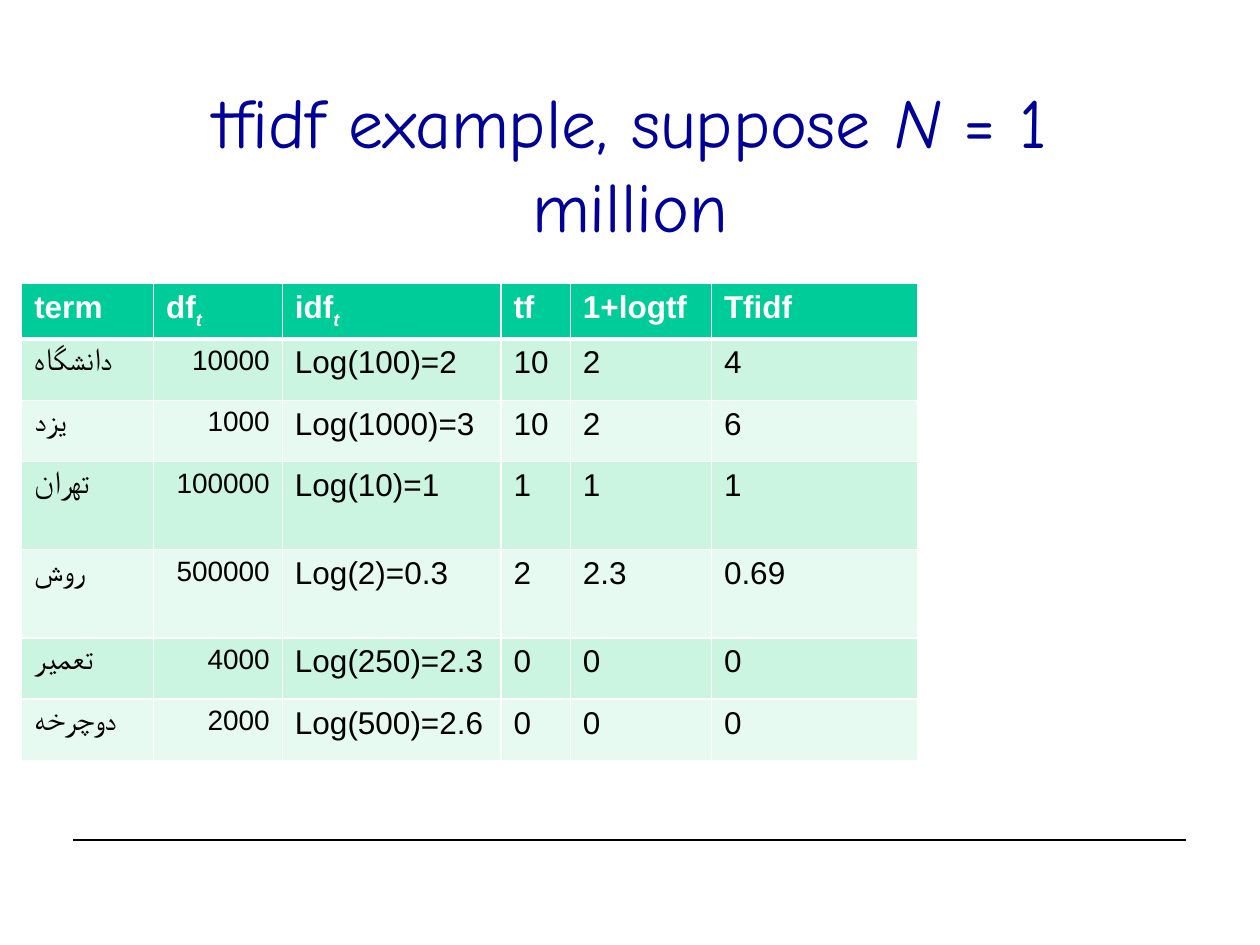
"""Build a slide with a tf-idf worked example table."""
from lxml.etree import SubElement
from pptx import Presentation
from pptx.dml.color import RGBColor
from pptx.enum.shapes import MSO_CONNECTOR
from pptx.enum.text import MSO_ANCHOR, PP_ALIGN
from pptx.oxml.ns import qn
from pptx.util import Pt

TITLE = [("tfidf example, suppose ", False), ("N ", True), ("= 1 million", False)]
HEADERS = [("term", ""), ("df", "t"), ("idf", "t"), ("tf", ""), ("1+logtf", ""), ("Tfidf", "")]
TERMS = [
    ("دانشگاه", "10000", "Log(100)=2", "10", "2", "4"),
    ("یزد", "1000", "Log(1000)=3", "10", "2", "6"),
    ("تهران", "100000", "Log(10)=1", "1", "1", "1"),
    ("روش", "500000", "Log(2)=0.3", "2", "2.3", "0.69"),
    ("تعمیر", "4000", "Log(250)=2.3", "0", "0", "0"),
    ("دوچرخه", "2000", "Log(500)=2.6", "0", "0", "0"),
]
COLUMN_WIDTHS = [75.4, 73.6, 124.9, 39.7, 80.6, 118]
ROW_HEIGHTS = [29.2, 35, 35, 50.4, 50.4, 35, 35]
DOCUMENT_FREQUENCY_COLUMN = 1
HEADER_FILL = "00CC99"
BAND_FILLS = ["E7FAF1", "CBF5E1"]


def color(value):
    """Turn a hex string into a colour."""
    return RGBColor.from_string(value)


def add_run(paragraph, text, size, hex_color, font="Arial", bold=False, italic=False):
    """Append one formatted run to a paragraph."""
    run = paragraph.add_run()
    run.text = text
    run.font.name, run.font.size = font, Pt(size)
    run.font.bold, run.font.italic = bold, italic
    run.font.color.rgb = color(hex_color)
    return run


def style_cell(cell, row):
    """Give a cell its white borders and its row's fill."""
    properties = cell._tc.get_or_add_tcPr()
    widths = {"a:lnL": 1, "a:lnR": 1, "a:lnT": 3 if row == 1 else 1, "a:lnB": 3 if row == 0 else 1}
    for tag, width in widths.items():
        border = SubElement(properties, qn(tag), w=str(Pt(width)))
        SubElement(SubElement(border, qn("a:solidFill")), qn("a:srgbClr"), val="FFFFFF")
    cell.fill.solid()
    cell.fill.fore_color.rgb = color(BAND_FILLS[row % 2] if row else HEADER_FILL)


def add_title(slide):
    """Add the centred title."""
    frame = slide.shapes.add_textbox(Pt(54), Pt(48), Pt(612), Pt(90)).text_frame
    frame.word_wrap = True
    frame.vertical_anchor = MSO_ANCHOR.MIDDLE
    paragraph = frame.paragraphs[0]
    paragraph.alignment = PP_ALIGN.CENTER
    for text, italic in TITLE:
        add_run(paragraph, text, 40, "000099", "Comic Neue", italic=italic)


def add_term_table(slide):
    """Add the table of terms and their weights."""
    table = slide.shapes.add_table(
        len(ROW_HEIGHTS), len(COLUMN_WIDTHS), Pt(12.4), Pt(162),
        Pt(sum(COLUMN_WIDTHS)), Pt(sum(ROW_HEIGHTS))).table
    for column, width in zip(table.columns, COLUMN_WIDTHS):
        column.width = Pt(width)
    for row, height in zip(table.rows, ROW_HEIGHTS):
        row.height = Pt(height)
    for column, (name, subscript) in enumerate(HEADERS):
        cell = table.cell(0, column)
        style_cell(cell, 0)
        paragraph = cell.text_frame.paragraphs[0]
        add_run(paragraph, name, 18, "FFFFFF", bold=True)
        if subscript:
            run = add_run(paragraph, subscript, 18, "FFFFFF", bold=True, italic=True)
            run._r.get_or_add_rPr().set("baseline", "-25000")
    for row, values in enumerate(TERMS, start=1):
        for column, value in enumerate(values):
            cell = table.cell(row, column)
            style_cell(cell, row)
            paragraph = cell.text_frame.paragraphs[0]
            is_frequency = column == DOCUMENT_FREQUENCY_COLUMN
            if is_frequency:
                paragraph.alignment = PP_ALIGN.RIGHT
            add_run(paragraph, value, 16 if is_frequency else 18, "000000")


def add_footer_rule(slide):
    """Add the thin rule near the foot of the slide."""
    rule = slide.shapes.add_connector(
        MSO_CONNECTOR.STRAIGHT, Pt(42), Pt(480), Pt(678), Pt(480))
    rule.line.color.rgb = color("000000")
    rule.line.width = Pt(0.75)
    SubElement(rule._element.spPr, qn("a:effectLst"))


def main():
    """Assemble and save the presentation."""
    presentation = Presentation()
    presentation.slide_width, presentation.slide_height = Pt(720), Pt(540)
    slide = presentation.slides.add_slide(presentation.slide_layouts[6])
    add_footer_rule(slide)
    add_title(slide)
    add_term_table(slide)
    presentation.save("out.pptx")


if __name__ == "__main__":
    main()
